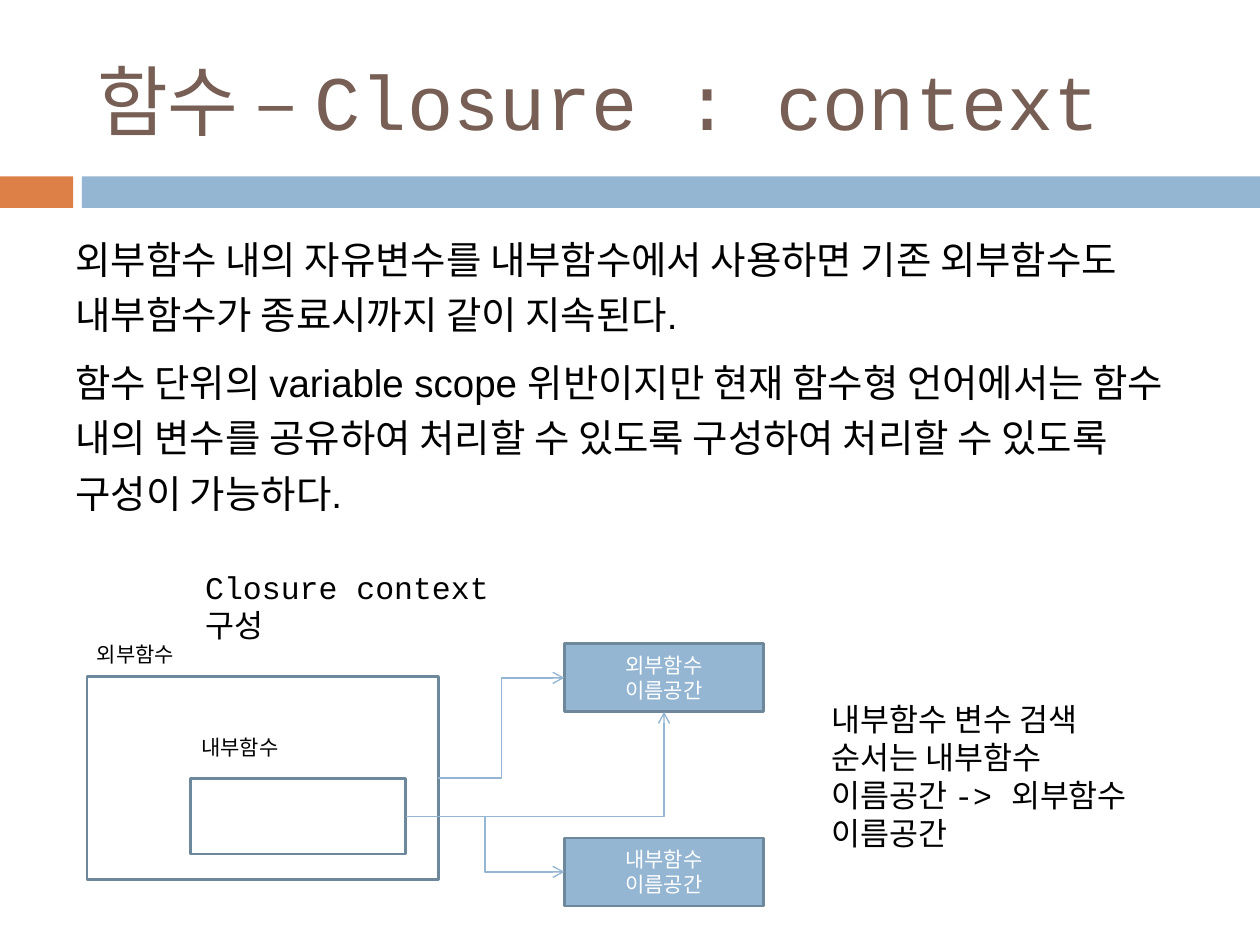
"""Build the slide on closure context in functions."""
from dataclasses import dataclass

from lxml import etree
from pptx import Presentation
from pptx import util as u
from pptx.dml.color import RGBColor
from pptx.enum import shapes, text
from pptx.oxml.ns import qn


@dataclass(frozen=True)
class Theme:
    """Colours, fonts and type sizes."""
    orange: str = "DD8047"
    blue: str = "94B6D2"
    edge: str = "6D879B"
    brown: str = "775F55"
    black: str = "000000"
    white: str = "FFFFFF"
    mono: str = "Courier New"
    sans: str = "Arial"
    title: int = 44
    body: int = 22
    note: int = 18
    label: int = 12


RIGHT, LEFT, BOTTOM = 3, 1, 2


class SlideBuilder:
    """Hold the theme and the current slide."""

    def __init__(self, deck, theme):
        self.theme = theme
        self.slide = deck.slides.add_slide(deck.slide_layouts[5])

    def fill_text(self, frame, lines, size, color, font, align=text.PP_ALIGN.LEFT):
        """Fill a text frame with one paragraph per line."""
        frame.word_wrap = True
        frame.text = "\n".join(lines)
        for paragraph in frame.paragraphs:
            paragraph.alignment = align
            paragraph.font.size = u.Pt(size)
            paragraph.font.name = font
            paragraph.font.color.rgb = RGBColor.from_string(color)
        return frame

    def title(self, wording, *place):
        """Place and format the title."""
        heading = self.slide.shapes.title
        heading.left, heading.top, heading.width, heading.height = map(u.Inches, place)
        frame = self.fill_text(heading.text_frame, [wording], self.theme.title,
                               self.theme.brown, self.theme.mono)
        frame.auto_size = text.MSO_AUTO_SIZE.NONE
        frame.vertical_anchor = text.MSO_ANCHOR.MIDDLE

    def text(self, lines, size, font, *place):
        """Add wrapped black text."""
        box = self.slide.shapes.add_textbox(*map(u.Inches, place))
        return self.fill_text(box.text_frame, lines, size, self.theme.black, font)

    def box(self, fill, *place, edge=None, lines=()):
        """Add a rectangle, with an outline and centred text if given."""
        rect = self.slide.shapes.add_shape(
            shapes.MSO_SHAPE.RECTANGLE, *map(u.Inches, place))
        rect.shadow.inherit = False
        rect.fill.solid()
        rect.fill.fore_color.rgb = RGBColor.from_string(fill)
        if edge:
            rect.line.color.rgb = RGBColor.from_string(edge)
            rect.line.width = u.Pt(1.5)
        else:
            rect.line.fill.background()
        if lines:
            frame = self.fill_text(rect.text_frame, lines, self.theme.label,
                                   self.theme.white, self.theme.mono,
                                   text.PP_ALIGN.CENTER)
            frame.vertical_anchor = text.MSO_ANCHOR.MIDDLE
        return rect

    def arrow(self, source, target, site=LEFT, bends="bentConnector3"):
        """Join the right side of source to a site of target by an elbow arrow."""
        link = self.slide.shapes.add_connector(shapes.MSO_CONNECTOR.ELBOW, 0, 0, 0, 0)
        link.begin_connect(source, RIGHT)
        link.end_connect(target, site)
        link.line.color.rgb = RGBColor.from_string(self.theme.blue)
        link.line.width = u.Pt(0.79)
        properties = link._element.spPr
        properties.find(qn("a:prstGeom")).set("prst", bends)
        etree.SubElement(properties.find(qn("a:ln")), qn("a:tailEnd"), type="arrow")
        etree.SubElement(properties, qn("a:effectLst"))


def main():
    """Build and save the deck."""
    deck = Presentation()
    deck.slide_width, deck.slide_height = u.Inches(10), u.Inches(7.5)
    theme = Theme()
    page = SlideBuilder(deck, theme)

    page.box(theme.orange, 0, 1.4, 0.58, 0.25)
    page.box(theme.blue, 0.65, 1.4, 9.35, 0.25)
    page.title("함수 – Closure : context", 0.67, 0.25, 8.92, 1.08)

    explanation = page.text([
        "외부함수 내의 자유변수를 내부함수에서 사용하면 기존 외부함수도 "
        "내부함수가 종료시까지 같이 지속된다.",
        "함수 단위의 variable scope 위반이지만 현재 함수형 언어에서는 함수 내의 "
        "변수를 공유하여 처리할 수 있도록 구성하여 처리할 수 있도록 구성이 가능하다.",
    ], theme.body, theme.sans, 0.5, 1.75, 9, 2.71)
    for paragraph in explanation.paragraphs:
        paragraph.line_spacing = 1.2
        paragraph.space_before = u.Pt(7)

    outer = page.box(theme.white, 0.69, 5.37, 2.79, 1.61, edge=theme.edge)
    inner = page.box(theme.white, 1.51, 6.18, 1.71, 0.6, edge=theme.edge)
    for name, left, top in (("외부함수", 0.67, 5.04), ("내부함수", 1.5, 5.78)):
        page.text([name], theme.label, theme.mono, left, top, 0.95, 0.28)

    outer_names, inner_names = (
        page.box(theme.blue, 4.48, top, 1.58, 0.54, edge=theme.edge,
                 lines=[name, "이름공간"])
        for name, top in (("외부함수", 5.11), ("내부함수", 6.65)))
    page.arrow(inner, inner_names)
    page.arrow(inner, outer_names, BOTTOM, "bentConnector2")
    page.arrow(outer, outer_names)

    page.text(["Closure context 구성"], theme.note, theme.mono, 1.53, 4.46, 2.91, 0.4)
    page.text(["내부함수 변수 검색 순서는 내부함수 이름공간 -> 외부함수 이름공간"],
              theme.note, theme.mono, 6.5, 5.51, 2.76, 1.31)
    deck.save("out.pptx")


main()
